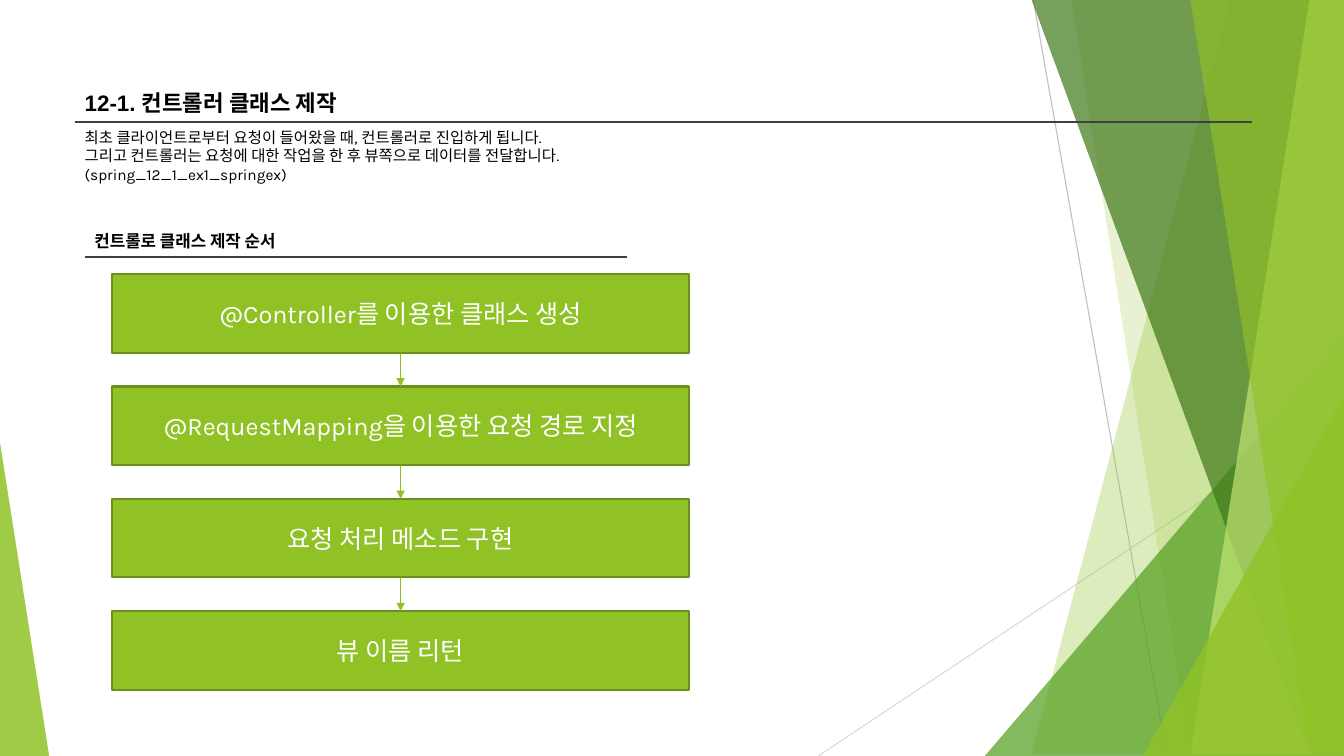
"""Build the slide on the steps of making a controller class."""
from dataclasses import dataclass

from lxml.etree import SubElement
from pptx import Presentation
from pptx.dml.color import RGBColor
from pptx.enum.shapes import MSO_CONNECTOR, MSO_SHAPE
from pptx.enum.text import MSO_ANCHOR, MSO_AUTO_SIZE, PP_ALIGN
from pptx.oxml.ns import qn
from pptx.util import Cm, Pt


@dataclass(frozen=True)
class Theme:
    """Colours, fonts and type sizes."""
    lime: str = "90C226"
    leaf: str = "54A021"
    moss: str = "3F7819"
    pale: str = "C0E474"
    edge: str = "6B901C"
    rule: str = "404040"
    grey: str = "BFBFBF"
    mist: str = "D9D9D9"
    ink: str = "000000"
    white: str = "FFFFFF"
    head: str = "Arial"
    text: str = "Karla"
    title: int = 16
    body: int = 11
    label: int = 12
    step: int = 18


THEME = Theme()
WIDTH, HEIGHT = 33.87, 19.05

FACETS = [
    (31.19, 25.5, THEME.lime, 30),
    (26.67, 30.05, THEME.lime, 20),
    (25.93, 32.79, THEME.moss, 70),
    (33.1, 30.28, THEME.pale, 70),
    (30.38, 33.48, THEME.lime, 65),
]
STEPS = [
    "@Controller를 이용한 클래스 생성",
    "@RequestMapping을 이용한 요청 경로 지정",
    "요청 처리 메소드 구현",
    "뷰 이름 리턴",
]


def place(shape, left, top, width, height):
    """Move and size a shape in centimetres."""
    shape.left, shape.top = Cm(left), Cm(top)
    shape.width, shape.height = Cm(width), Cm(height)


def write(shape, *lines, size, font=THEME.text, color=THEME.ink, bold=False,
          align=PP_ALIGN.LEFT, anchor=MSO_ANCHOR.TOP):
    """Fill a shape with plain paragraphs in one format."""
    frame = shape.text_frame
    frame.word_wrap = True
    frame.auto_size = MSO_AUTO_SIZE.NONE
    frame.vertical_anchor = anchor
    for num, line in enumerate(lines):
        para = frame.add_paragraph() if num else frame.paragraphs[0]
        para.text = line
        props = para._p.get_or_add_pPr()
        props.set("marL", "0")
        props.set("indent", "0")
        SubElement(props, qn("a:buNone"))
        para.alignment = align
        para.space_before = Pt(0)
        for run in para.runs:
            run.font.name, run.font.size = font, Pt(size)
            run.font.bold = bold
            run.font.color.rgb = RGBColor.from_string(color)


def paint(shape, color, alpha=100):
    """Give a shape a flat fill with no line or shadow."""
    shape.shadow.inherit = False
    shape.fill.solid()
    shape.fill.fore_color.rgb = RGBColor.from_string(color)
    shape.line.fill.background()
    if alpha < 100:
        tint = shape._element.spPr.find(qn("a:solidFill"))[0]
        SubElement(tint, qn("a:alpha"), val=str(alpha * 1000))


def draw_line(slide, start, end, color, width=1):
    """Draw a straight line between two points."""
    line = slide.shapes.add_connector(
        MSO_CONNECTOR.STRAIGHT, *map(Cm, (*start, *end)))
    line.line.color.rgb = RGBColor.from_string(color)
    line.line.width = Pt(width)
    SubElement(line._element.spPr, qn("a:effectLst"))
    return line


def draw_facet(slide, top, base, color, alpha):
    """Draw a panel that runs to the right edge of the slide."""
    pen = slide.shapes.build_freeform(top, 0, scale=Cm(1))
    pen.add_line_segments([(WIDTH, 0), (WIDTH, HEIGHT), (base, HEIGHT)])
    paint(pen.convert_to_shape(), color, alpha)


def draw_wedge(slide, left, top, width, tip, color, alpha):
    """Draw a triangle that stands on the bottom edge."""
    wedge = slide.shapes.add_shape(
        MSO_SHAPE.ISOSCELES_TRIANGLE, Cm(left), Cm(top), Cm(width),
        Cm(HEIGHT - top))
    wedge.adjustments[0] = tip
    paint(wedge, color, alpha)


def draw_decor(slide):
    """Draw the green panels at both sides."""
    draw_line(slide, (26.04, 0), (29.41, HEIGHT), THEME.grey, 0.75)
    draw_line(slide, (WIDTH, 10.24), (20.62, HEIGHT), THEME.mist, 0.75)
    for facet in FACETS[:2]:
        draw_facet(slide, *facet)
    draw_wedge(slide, 24.82, 8.46, WIDTH - 24.82, 1, THEME.leaf, 72)
    for facet in FACETS[2:]:
        draw_facet(slide, *facet)
    draw_wedge(slide, 28.8, 9.98, WIDTH - 28.8, 1, THEME.lime, 80)
    draw_wedge(slide, 0, 11.15, 1.24, 0, THEME.lime, 85)


def draw_step(slide, top, text):
    """Draw one box of the flow."""
    box = slide.shapes.add_shape(
        MSO_SHAPE.RECTANGLE, Cm(2.82), Cm(top), Cm(14.55), Cm(1.98))
    paint(box, THEME.lime)
    box.line.color.rgb = RGBColor.from_string(THEME.edge)
    box.line.width = Pt(1.5)
    write(box, text, size=THEME.step, color=THEME.white,
          align=PP_ALIGN.CENTER, anchor=MSO_ANCHOR.MIDDLE)
    return box


def join(slide, upper, lower):
    """Join two boxes with an arrow."""
    arrow = draw_line(slide, (0, 0), (0, 0), THEME.lime)
    arrow.begin_connect(upper, 2)
    arrow.end_connect(lower, 0)
    SubElement(arrow.line._get_or_add_ln(), qn("a:tailEnd"), type="triangle")


def main():
    """Build and save the slide."""
    deck = Presentation()
    deck.slide_width, deck.slide_height = Cm(WIDTH), Cm(HEIGHT)
    slide = deck.slides.add_slide(deck.slide_layouts[1])
    draw_decor(slide)

    title, body = slide.placeholders
    place(title, 1.88, 2.11, 29.67, 0.94)
    write(title, "12-1. 컨트롤러 클래스 제작", size=THEME.title,
          font=THEME.head, bold=True)
    draw_line(slide, (1.88, 3.07), (31.55, 3.07), THEME.rule)
    place(body, 1.88, 3.1, 29.67, 1.65)
    write(body,
          "최초 클라이언트로부터 요청이 들어왔을 때, 컨트롤러로 진입하게 됩니다.\v"
          "그리고 컨트롤러는 요청에 대한 작업을 한 후 뷰쪽으로 데이터를 전달합니다.",
          "(spring_12_1_ex1_springex)", size=THEME.body)

    label = slide.shapes.add_textbox(*map(Cm, (2.13, 5.69, 13.67, 0.74)))
    write(label, "컨트롤로 클래스 제작 순서", size=THEME.label, bold=True)
    draw_line(slide, (2.13, 6.48), (15.8, 6.48), THEME.rule)

    boxes = [draw_step(slide, 6.91 + 2.83 * num, text)
             for num, text in enumerate(STEPS)]
    for upper, lower in zip(boxes, boxes[1:]):
        join(slide, upper, lower)
    deck.save("out.pptx")


if __name__ == "__main__":
    main()
